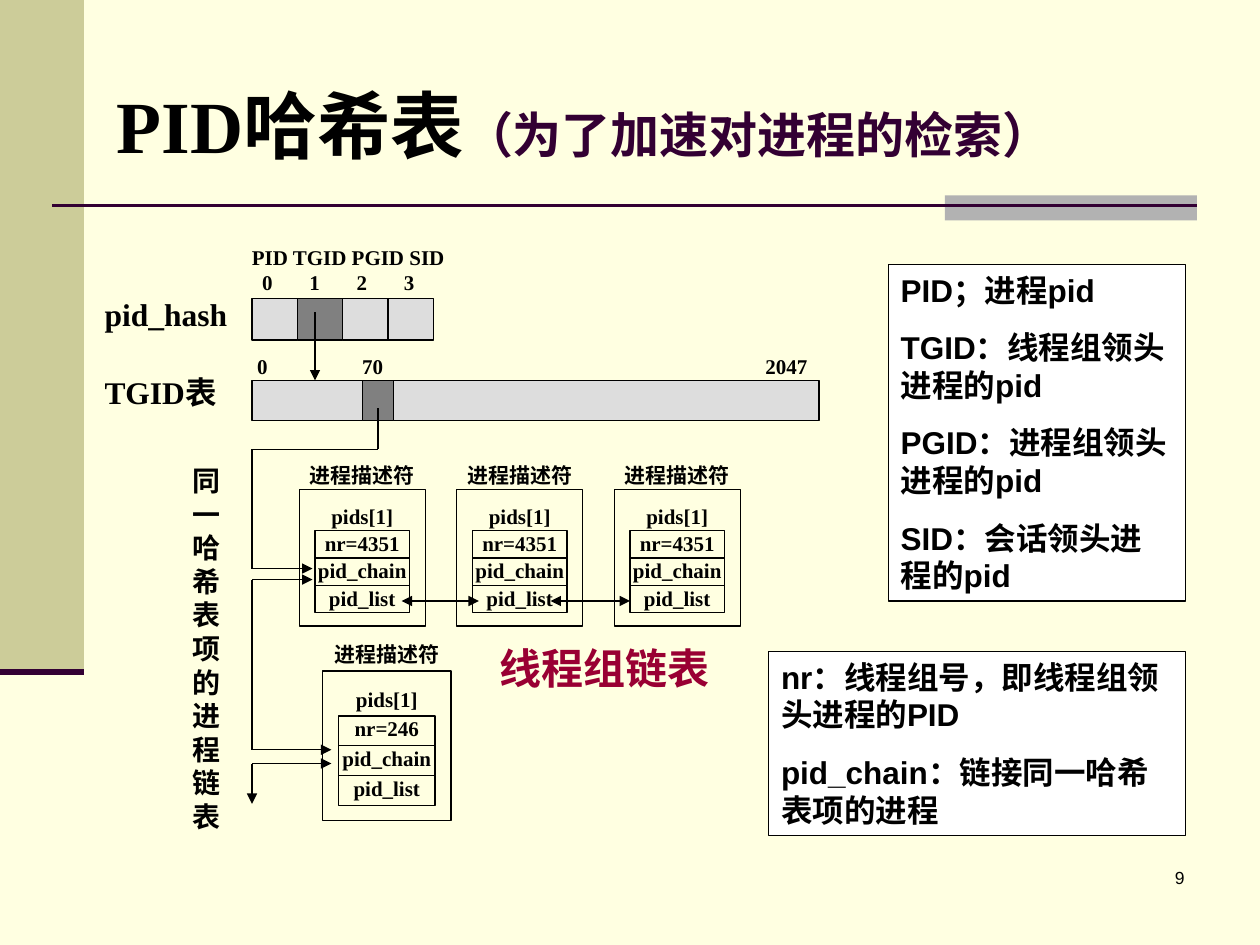
from pptx import Presentation, util as u
from pptx.dml.color import RGBColor
from pptx.enum import shapes, text
from pptx.oxml.ns import qn
from lxml import etree

COLS, ROWS = 80, 60
SERIF, SANS = "Times New Roman", "Arial"
BLACK, PLUM, PALE, GREY = "000000", "330033", "DDDDDD", "808080"
LEFT, MID, RIGHT = text.PP_ALIGN.LEFT, text.PP_ALIGN.CENTER, text.PP_ALIGN.RIGHT
TOP, CENTRE = text.MSO_ANCHOR.TOP, text.MSO_ANCHOR.MIDDLE

deck = Presentation()
deck.slide_width, deck.slide_height = u.Inches(10), u.Inches(7.5)
slide = deck.slides.add_slide(deck.slide_layouts[6])


def tint(code):
    """Turn a hex string into a colour."""
    return RGBColor.from_string(code)


def place(x, y):
    """Turn a column and a row into slide lengths."""
    return int(deck.slide_width * x / COLS), int(deck.slide_height * y / ROWS)


def write(shape, paras, align=LEFT, anchor=TOP, pad=(0, 0), gap=0):
    """Fill a shape with paragraphs of (words, size, font, colour, bold) runs."""
    frame = shape.text_frame
    frame.word_wrap = True
    frame.vertical_anchor = anchor
    frame.margin_left = frame.margin_right = u.Inches(pad[0])
    frame.margin_top = frame.margin_bottom = u.Inches(pad[1])
    for i, runs in enumerate(paras):
        para = frame.add_paragraph() if i else frame.paragraphs[0]
        para.alignment = align
        para.space_before = u.Pt(gap)
        for words, size, face, code, bold in runs:
            run = para.add_run()
            run.text = words
            run.font.size, run.font.name, run.font.bold = u.Pt(size), face, bold
            run.font.color.rgb = tint(code)


def rect(box, fill=None, edge=BLACK):
    """Draw a rectangle with an optional fill and edge."""
    x, y, w, h = box
    shape = slide.shapes.add_shape(shapes.MSO_SHAPE.RECTANGLE, *place(x, y), *place(w, h))
    shape.shadow.inherit = False
    if fill:
        shape.fill.solid()
        shape.fill.fore_color.rgb = tint(fill)
    else:
        shape.fill.background()
    if edge:
        shape.line.color.rgb = tint(edge)
        shape.line.width = u.Pt(0.75)
    else:
        shape.line.fill.background()
    return shape


def label(box, words, size=12, align=LEFT, code=BLACK, pad=(0, 0)):
    """Add a bold serif label."""
    x, y, w, h = box
    shape = slide.shapes.add_textbox(*place(x, y), *place(w, h))
    write(shape, [[(words, size, SERIF, code, True)]], align, pad=pad)


def line(start, end, ends="", code=BLACK, width=0.75):
    """Draw a line with arrowheads at the ends named."""
    link = slide.shapes.add_connector(shapes.MSO_CONNECTOR.STRAIGHT, *place(*start), *place(*end))
    link.line.color.rgb = tint(code)
    link.line.width = u.Pt(width)
    for end in ends.split():
        etree.SubElement(link.line._ln, qn("a:" + end), type="triangle")
    etree.SubElement(link._element.spPr, qn("a:effectLst"))


def trace(points, ends=""):
    """Draw a chain of lines whose last one carries the arrowheads."""
    pairs = list(zip(points, points[1:]))
    for pair in pairs[:-1]:
        line(*pair)
    line(*pairs[-1], ends)


def decor():
    """Draw the background, the side band and the rules."""
    slide.background.fill.solid()
    slide.background.fill.fore_color.rgb = tint("FFFFE1")
    rect((0, 0, 5.33, 42.67), "CCCC99", None)
    rect((60, 12.4, 20 * 0.8, 1.6), "B2B2B2", None)
    line((3.33, 13.06), (76, 13.06), code=PLUM, width=1.5)
    line((0, 42.67), (5.33, 42.67), code=PLUM, width=3.5)


def title(box):
    """Write the two-part title."""
    x, y, w, h = box
    shape = slide.shapes.add_textbox(*place(x, y), *place(w, h))
    runs = [("PID哈希表", 42, SERIF, BLACK, True),
            ("（为了加速对进程的检索）", 28, SERIF, PLUM, True)]
    write(shape, [runs], anchor=CENTRE, pad=(0.1, 0.05))


def heads(box):
    """Draw the four-cell array of hash heads."""
    x, y, w, h = box
    label((x, y - 3.44, 12.8, 1.72), "PID TGID PGID SID")
    step = w / 4
    for i in range(4):
        rect((x + i * step, y, step, h), GREY if i == 1 else PALE)
        label((x + 0.65 + i * 3, y - 1.84, 2, 1.72), str(i))
    label((6.64, y - 0.3, 9.44, 2.88), "pid_hash", 18, pad=(0, 0.01))


def table(box):
    """Draw the hash table with its used entry."""
    x, y, w, h = box
    rect(box, PALE)
    rect((x + 7, y, 2, h), GREY)
    for shift, words in ((0.33, "0"), (7, "70"), (32.6, "2047")):
        label((x + shift, y - 1.68, 4, 1.72), words)
    label((6.64, y - 0.48, 10.4, 3.12), "TGID表", 18)


def card(box, number):
    """Draw a process descriptor on twelve rows."""
    x, y, w, h = box
    row, inset = h / 12, w / 8
    label((x, y, w, 2 * row), "进程描述符", align=MID)
    rect((x, y + 2 * row, w, 10 * row))
    label((x + inset, y + 3 * row, w - 2 * inset, 2 * row), "pids[1]", align=MID)
    for i, words in enumerate((f"nr={number}", "pid_chain", "pid_list")):
        cell = rect((x + inset, y + (5 + 2 * i) * row, w - 2 * inset, 2 * row))
        write(cell, [[(words, 12, SERIF, BLACK, True)]], MID)


def note(box, lines):
    """Draw a white box of explanations."""
    paras = [[(words, 18, SANS, BLACK, True)] for words in lines]
    write(rect(box, "FFFFFF"), paras, pad=(0.1, 0.05), gap=11.2)


def links():
    """Draw the arrows between tables and descriptors."""
    line((20, 19.84), (20, 24.16), "tailEnd")
    trace([(24, 25.92), (24, 28.52), (16, 28.52), (16, 36.1), (19.84, 36.1)], "tailEnd")
    line((16, 36.8), (19.84, 36.8), "tailEnd")
    trace([(16, 36.8), (16, 47.6), (21.04, 47.6)], "tailEnd")
    for tip in ((21.04, 48.48), (16, 51.04)):
        line((16, 48.48), tip, "tailEnd")
    for left, right in ((25.5, 30.4), (34.96, 40)):
        line((left, 38.16), (right, 38.16), "headEnd tailEnd")


def main():
    """Build and save the slide."""
    decor()
    title((6.64, 2.88, 68, 10))
    heads((16, 18.96, 11.52, 2.64))
    table((16, 24.16, 36, 2.56))
    for i in range(3):
        card((19 + 10 * i, 29.36, 8, 10.4), 4351)
    card((20.48, 40.72, 8.16, 11.36), 246)
    links()
    label((22.96, 40.72, 22.08, 3.76), "线程组链表", 24, RIGHT, "990033", (0, 0.01))
    label((12.24, 29.36, 2.72, 25.2), "同一哈希表项的进程链 表", 16, pad=(0, 0.01))
    note((48.8, 41.36, 26.48, 11.68),
         ["nr：线程组号，即线程组领头进程的PID", "pid_chain：链接同一哈希表项的进程"])
    note((56.4, 16.8, 18.88, 21.36),
         ["PID；进程pid", "TGID：线程组领头进程的pid",
          "PGID：进程组领头进程的pid", "SID：会话领头进程的pid"])
    number = slide.shapes.add_textbox(*place(59.36, 54.64), *place(16.64, 4))
    write(number, [[("9", 10, SANS, BLACK, False)]], RIGHT, pad=(0.1, 0.05))
    deck.save("out.pptx")


if __name__ == "__main__":
    main()
